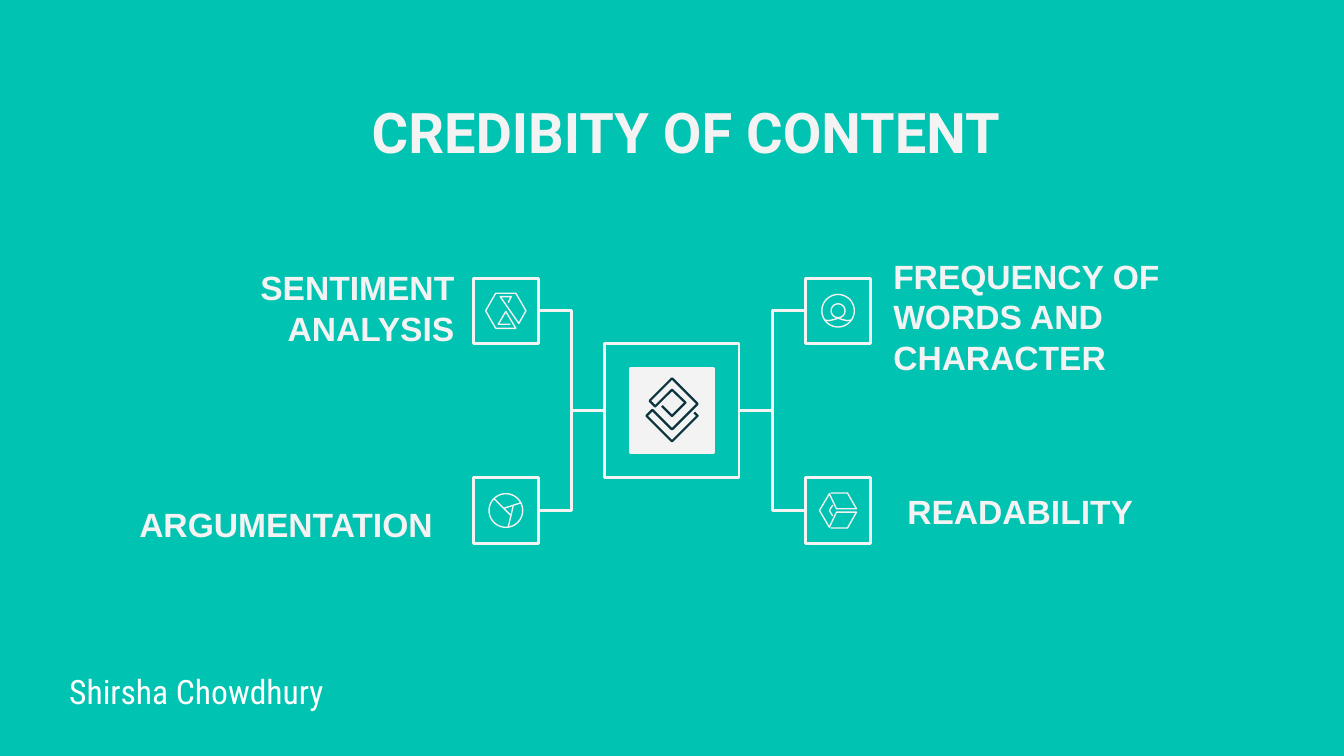
from math import cos, pi, sin

from lxml.etree import SubElement
from pptx import Presentation
from pptx.dml.color import RGBColor
from pptx.enum.shapes import MSO_CONNECTOR, MSO_SHAPE
from pptx.enum.text import MSO_ANCHOR, MSO_AUTO_SIZE, PP_ALIGN
from pptx.oxml.ns import qn
from pptx.util import Pt

TEAL = RGBColor(0x00, 0xC3, 0xB1)
PALE = RGBColor(0xF3, 0xF3, 0xF3)
DARK = RGBColor(0x0C, 0x34, 0x3D)
WHITE = RGBColor(0xFF, 0xFF, 0xFF)
LEFT, MID, RIGHT = PP_ALIGN.LEFT, PP_ALIGN.CENTER, PP_ALIGN.RIGHT
TOP, MIDDLE = MSO_ANCHOR.TOP, MSO_ANCHOR.MIDDLE


def ring(radius, steps=60):
    turns = [2 * pi * i / steps for i in range(steps + 1)]
    return [(radius * cos(t), radius * sin(t)) for t in turns]


# Icon strokes, in points from the centre of their box
HUB = [[(-5.4, -2.5), (0, 2.9), (7.2, -4.3), (0, -11.2), (-9, -2.2),
        (-12, -5.2), (0, -17.3), (13.7, -3.6), (0, 10.1), (-10.5, -0.4),
        (-13.7, 2.8), (0, 16.5), (13.7, 2.8), (11.9, 1)]]
HEX = [[(1.3, -4.3), (2.9, -7.6), (-3, -7.6), (7, 6.8), (10.8, 0),
        (5.4, -9.4), (-5.4, -9.4), (-10.8, 0), (-5.4, 9.4), (5.4, 9.4),
        (0, 0.4), (-4, 7.2), (2.5, 7.2)]]
EYE = [ring(8.7), ring(3.7),
       [(-7, 5), (-5, 5.3), (-2.5, 4.8), (0, 4),
        (2.5, 4.8), (5, 5.3), (7, 5)]]
PIE = [ring(9), [(-6.3, -6.3), (2.4, 2.4)], [(-1, -1.2), (8, -4.1)],
       [(4, -2.8), (1.3, 8.8)]]
CUBE = [[(-4, -9.4), (5, -9.4), (9.8, -0.9), (-0.9, -0.9), (-4.7, -9),
         (-10, 0), (-4.7, 9), (-0.9, 0.9), (9.8, 0.9), (5, 9.4), (-4, 9.4)],
        [(-2.9, -2.9), (-4.7, 0), (-2.9, 2.9)]]

TITLE = "CREDIBITY OF CONTENT"
AUTHOR = "Shirsha Chowdhury"
# Label, side (column, row), icon, text area, alignment, anchor
TOPICS = [
    ("SENTIMENT ANALYSIS", (-1, -1), HEX, (58, 136, 192.5, 45), RIGHT, TOP),
    ("FREQUENCY OF WORDS AND CHARACTER", (1, -1), EYE,
     (471.5, 152, 202, 35), LEFT, MIDDLE),
    ("ARGUMENTATION", (-1, 1), PIE, (63, 263, 176, 29), RIGHT, TOP),
    ("READABILITY", (1, 1), CUBE, (479, 256, 173, 29), LEFT, TOP),
]
CX, CY = 360, 220
DX, DY = 89, 53.5
BOX, FRAME, PLATE = 35, 72, 45

deck = Presentation()
deck.slide_width, deck.slide_height = Pt(720), Pt(405)
slide = deck.slides.add_slide(deck.slide_layouts[5])
slide.background.fill.solid()
slide.background.fill.fore_color.rgb = TEAL
shapes = slide.shapes


def write(shape, text, size, font, color, align, anchor=TOP, bold=True):
    frame = shape.text_frame
    frame.word_wrap = True
    frame.auto_size = MSO_AUTO_SIZE.NONE
    frame.vertical_anchor = anchor
    frame.margin_left = frame.margin_right = Pt(7.2)
    frame.margin_top = frame.margin_bottom = Pt(7.2)
    para = frame.paragraphs[0]
    para.alignment = align
    run = para.add_run()
    run.text = text
    run.font.size, run.font.name, run.font.bold = Pt(size), font, bold
    run.font.color.rgb = color


def label(area, *style, **more):
    write(shapes.add_textbox(*map(Pt, area)), *style, **more)


def square(x, y, side, fill=None):
    """Draw an outlined square centred on x, y."""
    shape = shapes.add_shape(MSO_SHAPE.RECTANGLE, Pt(x - side / 2),
                             Pt(y - side / 2), Pt(side), Pt(side))
    shape.shadow.inherit = False
    if fill is None:
        shape.fill.background()
    else:
        shape.fill.solid()
        shape.fill.fore_color.rgb = fill
    shape.line.color.rgb = PALE
    shape.line.width = Pt(1.5)
    return shape


def draw(strokes, x, y, color, width):
    """Draw all strokes of an icon as one outline centred on x, y."""
    lines = [[(Pt(x + a), Pt(y + b)) for a, b in part] for part in strokes]
    pen = shapes.build_freeform(*lines[0][0])
    for i, line in enumerate(lines):
        if i:
            pen.move_to(*line[0])
        pen.add_line_segments(line[1:], close=False)
    icon = pen.convert_to_shape()
    icon.shadow.inherit = False
    icon.fill.background()
    icon.line.color.rgb = color
    icon.line.width = Pt(width)


def link(box, hub, col):
    """Join the inner side of a box to the facing side of the hub."""
    inner, outer = (3, 1) if col < 0 else (1, 3)
    line = shapes.add_connector(MSO_CONNECTOR.ELBOW, 0, 0, 0, 0)
    line.begin_connect(box, inner)
    line.end_connect(hub, outer)
    line.line.color.rgb = PALE
    line.line.width = Pt(1.5)
    SubElement(line._element.spPr, qn("a:effectLst"))


title = shapes.title
title.left, title.top, title.width, title.height = map(Pt, (64, 45, 607, 45))
write(title, TITLE, 30, "Roboto", PALE, MID)

hub = square(CX, CY, FRAME)
square(CX, CY, PLATE, PALE)
draw(HUB, CX, CY, DARK, 1.2)

for text, (col, row), icon, area, align, anchor in TOPICS:
    x, y = CX + col * DX, CY + row * DY
    label(area, text, 18, "Arial", PALE, align, anchor)
    draw(icon, x, y, PALE, 0.75)
    link(square(x, y, BOX), hub, col)

label((30, 352, 163, 36), AUTHOR, 18, "Roboto Condensed", WHITE, LEFT,
      bold=False)

deck.save("out.pptx")
